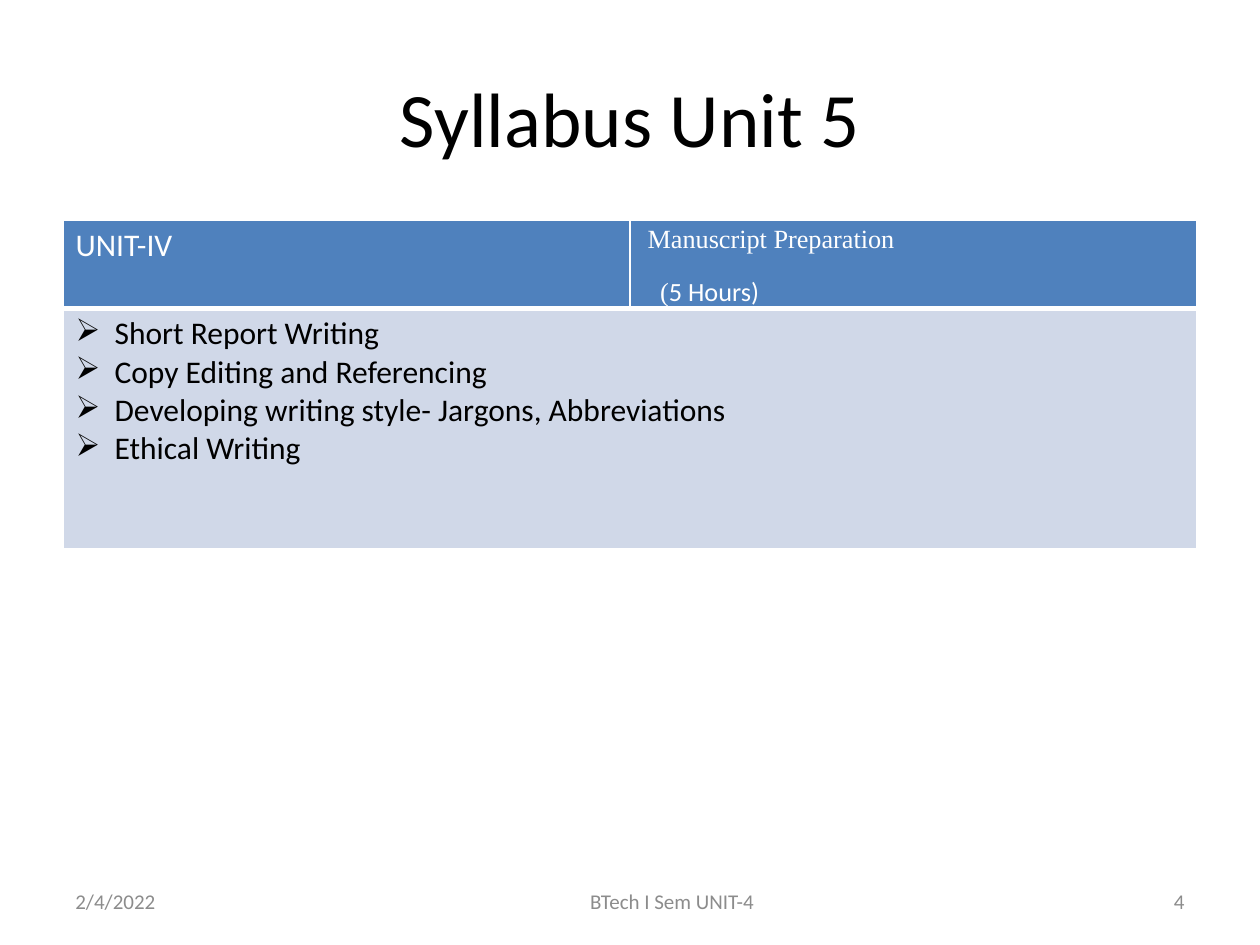
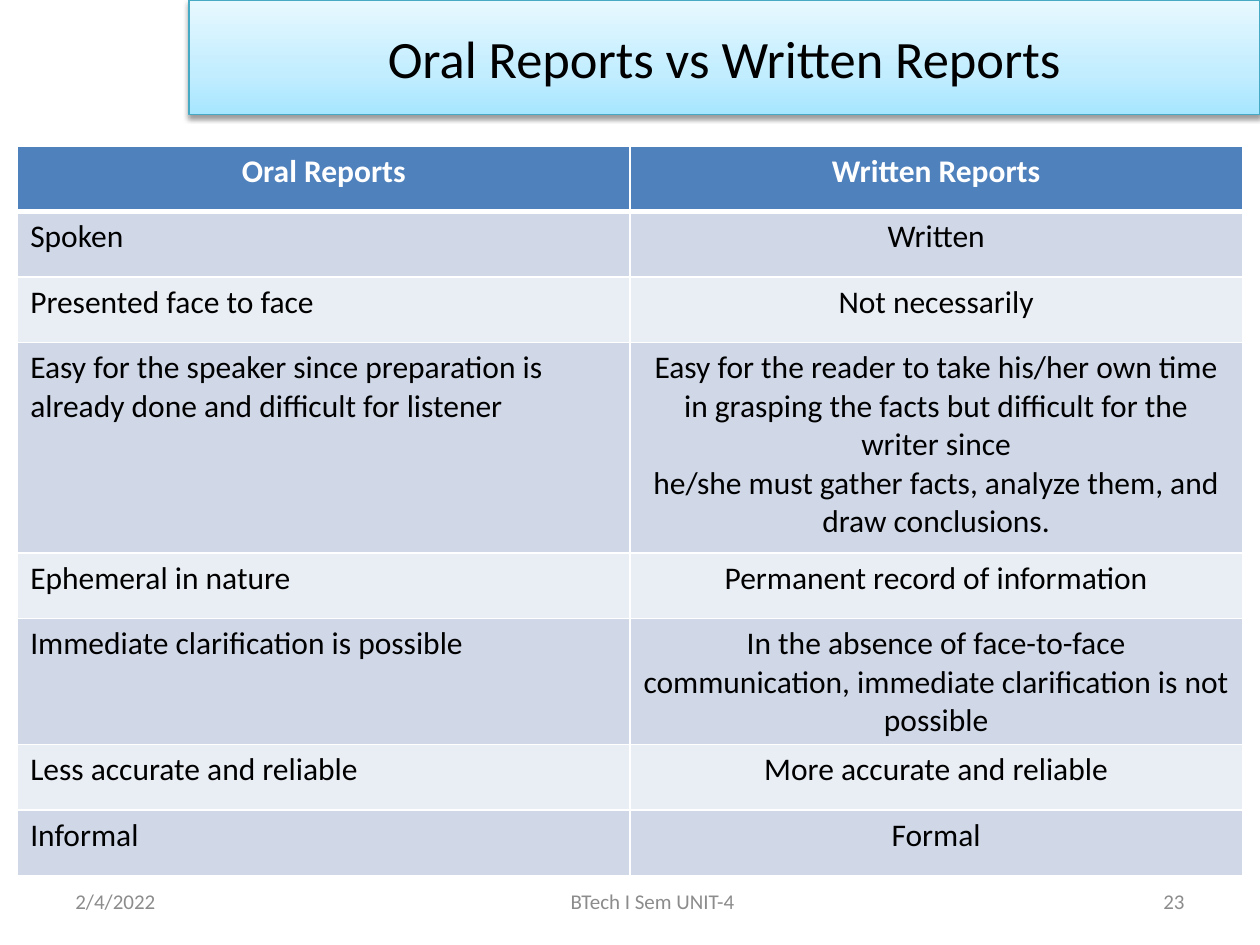
import copy
from dataclasses import dataclass

import pptx
import pptx.dml.color
import pptx.enum.text
import pptx.oxml
import pptx.oxml.ns
import pptx.util
from lxml import etree

Inches, Pt = pptx.util.Inches, pptx.util.Pt
ALIGN = pptx.enum.text.PP_ALIGN
MIDDLE = pptx.enum.text.MSO_ANCHOR.MIDDLE
qn = pptx.oxml.ns.qn


@dataclass(frozen=True)
class Theme:
    font: str = "Calibri"
    serif: str = "Times New Roman"
    black: str = "000000"
    white: str = "FFFFFF"
    grey: str = "8C8C8C"
    header: str = "4F81BD"
    bands: tuple = ("D0D8E8", "E9EDF4")
    banner: tuple = ((0, "A7E6FF"), (0.35, "C1EDFF"), (1, "E7F8FF"))
    banner_line: str = "46AAC5"
    title_size: int = 44
    banner_size: int = 30
    body_size: int = 18
    hours_size: int = 15
    footer_size: int = 12


T = Theme()

COMPARISON = [
    ("Oral Reports", "Written Reports"),
    ("Spoken", "Written"),
    ("Presented face to face", "Not necessarily"),
    ("Easy for the speaker since preparation is already done and difficult for listener",
     "Easy for the reader to take his/her own time in grasping the facts but difficult "
     "for the writer since\nhe/she must gather facts, analyze them, and draw conclusions."),
    ("Ephemeral in nature", "Permanent record of information"),
    ("Immediate clarification is possible",
     "In the absence of face-to-face communication, immediate clarification is not possible"),
    ("Less accurate and reliable", "More accurate and reliable"),
    ("Informal", "Formal"),
]
TOPICS = ["Short Report Writing", "Copy Editing and Referencing",
          "Developing writing style- Jargons, Abbreviations", "Ethical Writing"]


def rgb(value):
    return pptx.dml.color.RGBColor.from_string(value)


def set_all(target, **values):
    for name, value in values.items():
        setattr(target, name, value)


def add_run(p, text, size, color=T.black, font=T.font, bold=False):
    r = p.add_run()
    r.text = text
    set_all(r.font, size=Pt(size), name=font, bold=bold)
    r.font.color.rgb = rgb(color)


def write(tf, lines, size, align=ALIGN.LEFT, **font):
    """Fill a text frame, one paragraph per line, and return the paragraphs."""
    for i, line in enumerate(lines):
        p = tf.paragraphs[0] if i == 0 else tf.add_paragraph()
        p.alignment = align
        add_run(p, line, size, **font)
    return tf.paragraphs


def indent(p, left, first=0, bullet=None):
    pPr = p._p.get_or_add_pPr()
    pPr.set("marL", str(Inches(left)))
    pPr.set("indent", str(Inches(first)))
    if bullet:
        etree.SubElement(pPr, qn("a:buChar"), char=bullet)


# Shared parts
def add_title(s, box, text, size):
    sp = s.shapes.title
    set_all(sp, **dict(zip(("left", "top", "width", "height"), map(Inches, box))))
    set_all(sp.text_frame, word_wrap=True, vertical_anchor=MIDDLE)
    write(sp.text_frame, [text], size, ALIGN.CENTER)
    return sp


def add_footer(s, number, centre_width):
    # The centre text sits left of its box's middle
    parts = [("2/4/2022", 0.5, 2.33, ALIGN.LEFT, 0.1),
             (number, 7.17, 2.33, ALIGN.RIGHT, 0.1),
             ("BTech I Sem UNIT-4", 3.42, centre_width, ALIGN.CENTER, 0.53)]
    for text, left, width, align, margin in parts:
        sp = s.shapes.add_textbox(Inches(left), Inches(6.95), Inches(width), Inches(0.4))
        set_all(sp.text_frame, word_wrap=True, vertical_anchor=MIDDLE,
                margin_right=Inches(margin))
        write(sp.text_frame, [text], T.footer_size, align, color=T.grey)


def style_cell(cell, fill, top=1, bottom=1):
    tcPr = cell._tc.get_or_add_tcPr()
    for side, width in (("L", 1), ("R", 1), ("T", top), ("B", bottom)):
        ln = etree.SubElement(tcPr, qn(f"a:ln{side}"), w=str(Pt(width)))
        etree.SubElement(etree.SubElement(ln, qn("a:solidFill")), qn("a:srgbClr"), val=T.white)
    cell.fill.solid()
    cell.fill.fore_color.rgb = rgb(fill)


def add_table(s, left, top, width, heights):
    """Add a two-column table with a header row and banded body rows."""
    table = s.shapes.add_table(len(heights), 2, Inches(left), Inches(top),
                               Inches(width), Inches(sum(heights))).table
    for i, height in enumerate(heights):
        table.rows[i].height = Inches(height)
        for cell in table.rows[i].cells:
            if i == 0:
                style_cell(cell, T.header, bottom=3)
            else:
                style_cell(cell, T.bands[(i - 1) % 2], top=3 if i == 1 else 1)
    return table


# Syllabus slide
def add_syllabus_table(s, left, top, width):
    table = add_table(s, left, top, width, [0.69, 1.91])
    write(table.cell(0, 0).text_frame, ["UNIT-IV"], T.body_size, color=T.white)

    heading = table.cell(0, 1)
    set_all(heading, margin_left=Inches(0.07), margin_right=Inches(0.07),
            margin_top=0, margin_bottom=0)
    name, hours = write(heading.text_frame, ["Manuscript Preparation", "("],
                        T.hours_size, color=T.white, font=T.serif)
    add_run(hours, "5 Hours)", T.hours_size, color=T.white)
    for p, margin in ((name, 0.07), (hours, 0.17)):
        indent(p, margin)
        set_all(p, line_spacing=1.15, space_after=Pt(10))

    topics = table.cell(1, 0)
    topics.merge(table.cell(1, 1))
    for p in write(topics.text_frame, TOPICS, T.body_size):
        indent(p, 0.31, -0.31, "➢")


def syllabus_slide(s):
    add_title(s, (0.5, 0.3, 9, 1.25), "Syllabus Unit 5", T.title_size)
    add_syllabus_table(s, 0.5, 1.75, 9)
    add_footer(s, "4", 4.26)


# Comparison slide
def style_banner(sp):
    sp.fill.gradient()
    sp.fill.gradient_angle = 90
    stops = sp._element.spPr.find(".//" + qn("a:gsLst"))
    stops.append(copy.deepcopy(stops[0]))
    for stop, (position, color) in zip(sp.fill.gradient_stops, T.banner):
        stop.position = position
        stop.color.rgb = rgb(color)
    sp.line.color.rgb = rgb(T.banner_line)
    sp.line.width = Pt(0.75)
    sp.shadow.inherit = False
    effects = sp._element.spPr.find(qn("a:effectLst"))
    shadow = etree.SubElement(effects, qn("a:outerShdw"), blurRad=str(Pt(3.1)),
                              dist=str(Pt(1.6)), dir="5400000", rotWithShape="0")
    color = etree.SubElement(shadow, qn("a:srgbClr"), val=T.black)
    etree.SubElement(color, qn("a:alpha"), val="38000")


def add_comparison_table(s, left, top, width):
    row, tall = 0.52, {3: 1.67, 5: 0.99}
    heights = [tall.get(i, row) for i in range(len(COMPARISON))]
    table = add_table(s, left, top, width, heights)
    for i, texts in enumerate(COMPARISON):
        for j, text in enumerate(texts):
            header = i == 0
            write(table.cell(i, j).text_frame, text.split("\n"), T.body_size,
                  ALIGN.CENTER if header or j else ALIGN.LEFT,
                  color=T.white if header else T.black, bold=header)


def comparison_slide(s):
    style_banner(add_title(s, (1.5, 0, 8.5, 0.91), "Oral Reports vs Written Reports",
                           T.banner_size))
    add_footer(s, "23", 3.95)
    add_comparison_table(s, 0.14, 1.16, 9.72)


def main():
    prs = pptx.Presentation()
    prs.slide_width, prs.slide_height = Inches(10), Inches(7.5)
    title_only = prs.slide_layouts[5]
    for build in (syllabus_slide, comparison_slide):
        build(prs.slides.add_slide(title_only))
    prs.save("out.pptx")


if __name__ == "__main__":
    main()
